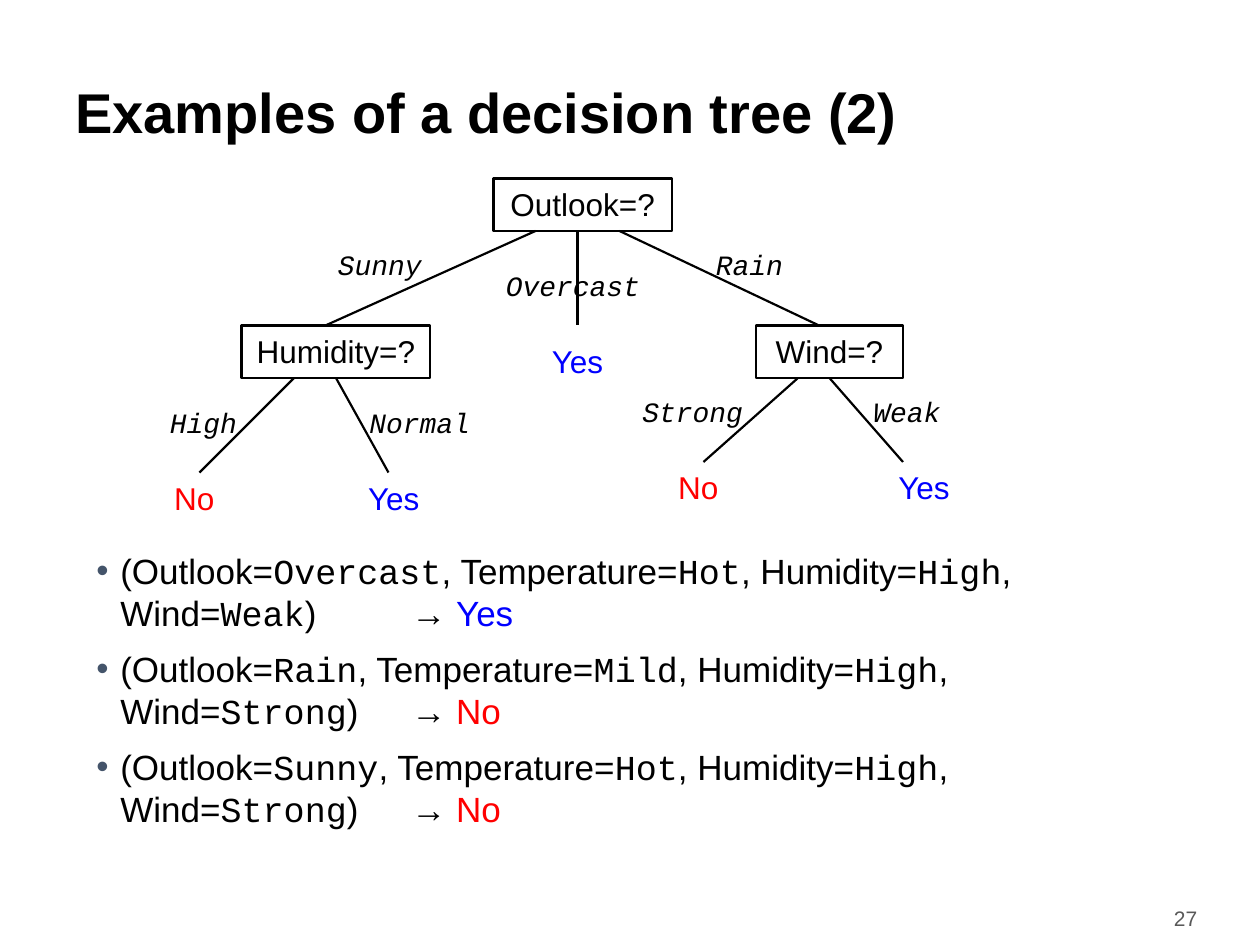
from lxml.etree import SubElement
from pptx import Presentation
from pptx.dml.color import RGBColor
from pptx.enum.shapes import MSO_CONNECTOR as LINE, MSO_SHAPE as SHAPE
from pptx.enum.text import MSO_ANCHOR as ANCHOR, PP_ALIGN as ALIGN
from pptx.oxml.ns import qn
from pptx.util import Inches, Pt

UNIT = Inches(1) / 12
BLACK = RGBColor(0, 0, 0)
BLUE = RGBColor(0, 0, 255)
RED = RGBColor(255, 0, 0)
GRAY = RGBColor(0x59, 0x59, 0x59)
SLATE = RGBColor(0x44, 0x54, 0x6A)
SANS, MONO = "Arial", "Courier New"
HUES = {"Yes": BLUE, "No": RED}

NODES = [("Outlook=?", 47, 17, 17), ("Humidity=?", 23, 31, 18), ("Wind=?", 72, 31, 14)]
EDGES = [
    ("Sunny", (51, 22), (31, 31), (31, 23, 11)),
    ("Overcast", (55, 22), (55, 31), (47, 25, 16)),
    ("Rain", (59, 22), (78, 31), (67, 23, 9)),
    ("High", (28, 36), (19, 45), (15, 38, 10)),
    ("Normal", (32, 36), (37, 45), (34, 38, 13)),
    ("Strong", (76, 36), (67, 44), (60, 37, 13)),
    ("Weak", (79, 36), (86, 44), (82, 37, 9)),
]
LEAVES = [("Yes", 49, 32, 12), ("No", 15, 45, 7), ("Yes", 33, 45, 9),
          ("No", 63, 44, 7), ("Yes", 82, 44, 12)]
CASES = [
    ("Overcast", "Hot", "High", "Weak", "\t\t", "Yes"),
    ("Rain", "Mild", "High", "Strong", "\t", "No"),
    ("Sunny", "Hot", "High", "Strong", "\t", "No"),
]


def grid(*cells):
    return [round(cell * UNIT) for cell in cells]


def style(run, size, face=SANS, hue=BLACK, bold=False, slant=False):
    font = run.font
    font.size, font.name = Pt(size), face
    font.bold, font.italic = bold, slant
    font.color.rgb = hue


def fill_text(shape, text, size, align=ALIGN.LEFT, anchor=ANCHOR.TOP, **look):
    frame = shape.text_frame
    frame.word_wrap = True
    frame.vertical_anchor = anchor
    frame.text = text
    para = frame.paragraphs[0]
    para.alignment = align
    style(para.runs[0], size, **look)
    return para


def add_text(slide, text, cells, size, **look):
    box = slide.shapes.add_textbox(*grid(*cells))
    return fill_text(box, text, size, **look)


def add_node(slide, text, col, row, width):
    box = slide.shapes.add_shape(SHAPE.RECTANGLE, *grid(col, row, width, 5))
    box.shadow.inherit = False
    box.fill.background()
    box.line.color.rgb = BLACK
    box.line.width = Pt(1.25)
    fill_text(box, text, 18, align=ALIGN.CENTER)


def add_edge(slide, start, end):
    edge = slide.shapes.add_connector(LINE.STRAIGHT, *grid(*start, *end))
    edge.line.color.rgb = BLACK
    edge.line.width = Pt(1.25)
    SubElement(edge.element.spPr, qn("a:effectLst"))


def add_bullet(para):
    props = para._p.get_or_add_pPr()
    props.set("marL", str(Inches(0.19)))
    props.set("indent", str(-Inches(0.19)))
    tint = SubElement(props, qn("a:buClr"))
    SubElement(tint, qn("a:srgbClr")).set("val", str(SLATE))
    SubElement(props, qn("a:buFont")).set("typeface", SANS)
    SubElement(props, qn("a:buChar")).set("char", "•")
    tabs = SubElement(props, qn("a:tabLst"))
    for stop in (2, 2.5):
        tab = SubElement(tabs, qn("a:tab"))
        tab.set("pos", str(Inches(stop)))
        tab.set("algn", "l")


def add_case(para, sky, heat, damp, wind, gap, end):
    add_bullet(para)
    names = ("(Outlook=", ", Temperature=", ", Humidity=", ", Wind=")
    parts = []
    for name, value in zip(names, (sky, heat, damp, wind)):
        parts += [(name, SANS, BLACK), (value, MONO, BLACK)]
    parts += [(f"){gap}→ ", SANS, BLACK), (end, SANS, HUES[end])]
    for text, face, hue in parts:
        run = para.add_run()
        run.text = text
        style(run, 20, face, hue)


def add_cases(slide):
    frame = slide.shapes.add_textbox(*grid(8, 51.75, 107, 29)).text_frame
    frame.word_wrap = True
    for num, case in enumerate(CASES):
        para = frame.add_paragraph() if num else frame.paragraphs[0]
        if num:
            para.space_before = Pt(8)
        add_case(para, *case)


def add_tree(slide):
    for name, start, end, (col, row, width) in EDGES:
        add_edge(slide, start, end)
        add_text(slide, name, (col, row, width, 4.4), 16, face=MONO, slant=True)
    for node in NODES:
        add_node(slide, *node)
    for name, col, row, width in LEAVES:
        add_text(slide, name, (col, row, width, 4.8), 18,
                 align=ALIGN.CENTER, hue=HUES[name])


def main():
    deck = Presentation()
    deck.slide_width, deck.slide_height = grid(120, 90)
    slide = deck.slides.add_slide(deck.slide_layouts[6])
    title = add_text(slide, "Examples of a decision tree (2)", (6, 6, 111, 10),
                     32, anchor=ANCHOR.MIDDLE, bold=True)
    title.line_spacing = 0.9
    add_tree(slide)
    add_cases(slide)
    add_text(slide, "27", (100.5, 85, 14.7, 4.8), 12, align=ALIGN.RIGHT,
             anchor=ANCHOR.MIDDLE, hue=GRAY)
    deck.save("out.pptx")


if __name__ == "__main__":
    main()
